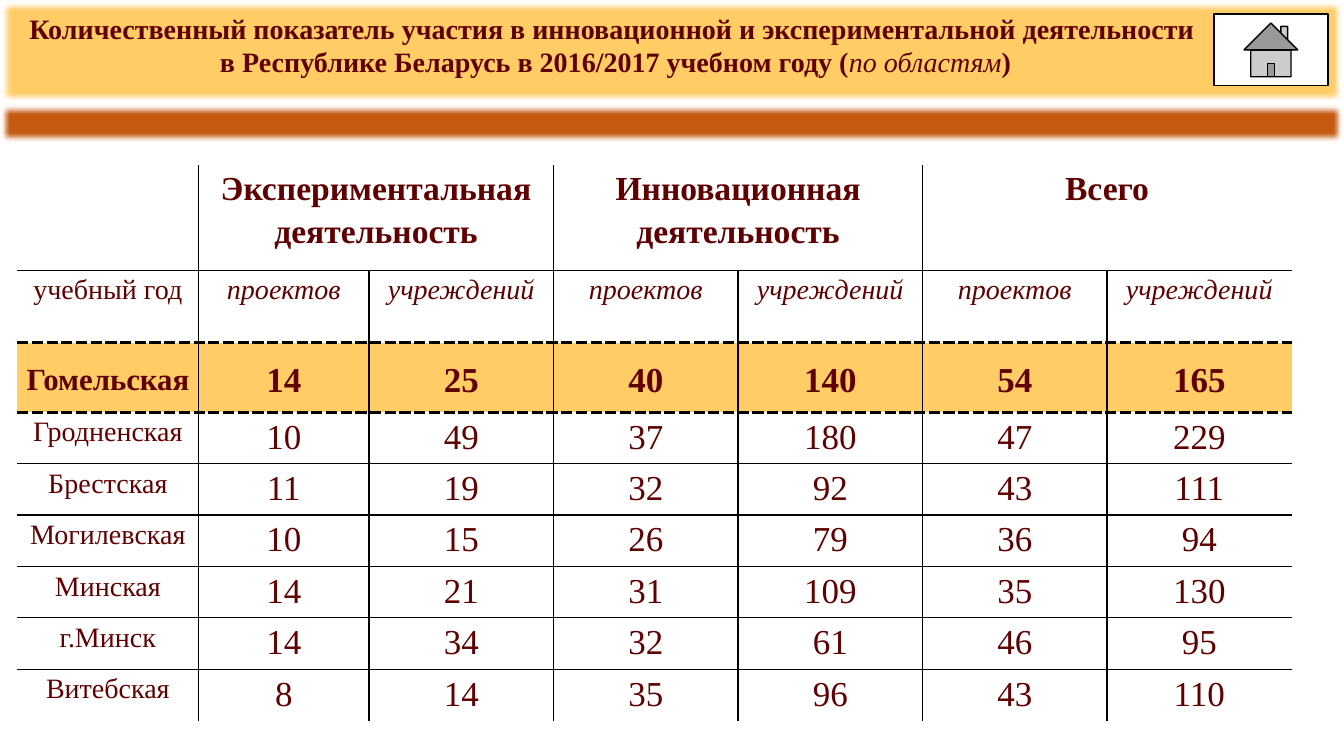
from lxml import etree
from pptx import Presentation
from pptx.dml.color import RGBColor
from pptx.enum.shapes import MSO_SHAPE
from pptx.enum.text import MSO_ANCHOR, MSO_AUTO_SIZE, PP_ALIGN
from pptx.oxml.ns import qn
from pptx.util import Inches, Pt

FONT = "Times New Roman"
MAROON = RGBColor(0x60, 0x00, 0x00)
SAND = RGBColor(0xFF, 0xCC, 0x66)
RUST = RGBColor(0xC5, 0x5A, 0x11)
WHITE = RGBColor(0xFF, 0xFF, 0xFF)
BLACK = RGBColor(0x00, 0x00, 0x00)
RECT, HOME = MSO_SHAPE.RECTANGLE, MSO_SHAPE.ACTION_BUTTON_HOME
CENTER = PP_ALIGN.CENTER
TOP, MIDDLE = MSO_ANCHOR.TOP, MSO_ANCHOR.MIDDLE

COL_WIDTHS = [1.8, 1.69] + [1.83] * 5
ROW_HEIGHTS = [1.04, 0.72, 0.69] + [0.51] * 6
HIGHLIGHT_ROW = 2
ROWS = [
    ["", "Экспериментальная деятельность", "", "Инновационная деятельность", "", "Всего", ""],
    ["учебный год"] + ["проектов", "учреждений"] * 3,
    ["Гомельская", 14, 25, 40, 140, 54, 165],
    ["Гродненская", 10, 49, 37, 180, 47, 229],
    ["Брестская", 11, 19, 32, 92, 43, 111],
    ["Могилевская", 10, 15, 26, 79, 36, 94],
    ["Минская", 14, 21, 31, 109, 35, 130],
    ["г.Минск", 14, 34, 32, 61, 46, 95],
    ["Витебская", 8, 14, 35, 96, 43, 110],
]


def format_paragraph(p, size, bold=False, italic=False):
    p.alignment = CENTER
    p.font.name = FONT
    p.font.size = Pt(size)
    p.font.bold = bold
    p.font.italic = italic
    p.font.color.rgb = MAROON


def add_filled_shape(slide, kind, box, color):
    sp = slide.shapes.add_shape(kind, *map(Inches, box))
    sp.shadow.inherit = False
    sp.fill.solid()
    sp.fill.fore_color.rgb = color
    sp.line.fill.background()
    return sp


def add_soft_band(slide, top, height, color):
    sp = add_filled_shape(slide, RECT, (0, top, 13.33, height), color)
    effects = sp._element.spPr.find(qn("a:effectLst"))
    etree.SubElement(effects, qn("a:softEdge"), rad=str(Inches(0.07)))


def add_title(slide):
    title = slide.shapes.title
    slide.shapes._spTree.append(title._element)  # in front of the bands
    title.left, title.top, title.width, title.height = map(Inches, (0, 0.06, 12.21, 0.77))
    tf = title.text_frame
    tf.auto_size = MSO_AUTO_SIZE.NONE
    tf.word_wrap = True
    tf.vertical_anchor = TOP
    p = tf.paragraphs[0]
    p.text = "Количественный показатель участия в инновационной и экспериментальной деятельности "
    format_paragraph(p, 20, bold=True)
    p = tf.add_paragraph()
    format_paragraph(p, 20, bold=True)
    p.add_run().text = "в Республике Беларусь в 2016/2017 учебном году ("
    r = p.add_run()
    r.text = "по областям"
    r.font.bold = False
    r.font.italic = True
    p.add_run().text = ")"


def set_borders(cell, borders):
    """Draw the left, right, top and bottom edges from (width, dash) pairs or None."""
    tc_pr = cell._tc.get_or_add_tcPr()
    for i, (side, border) in enumerate(zip("LRTB", borders)):
        ln = etree.Element(qn(f"a:ln{side}"))
        if border:
            width, dash = border
            ln.set("w", str(Pt(width)))
            fill = etree.SubElement(ln, qn("a:solidFill"))
            etree.SubElement(fill, qn("a:srgbClr"), val=str(BLACK))
            etree.SubElement(ln, qn("a:prstDash"), val=dash)
        else:
            etree.SubElement(ln, qn("a:noFill"))
        tc_pr.insert(i, ln)


def row_border(edge):
    """Return the horizontal border above row number edge."""
    if edge in (0, len(ROWS)):
        return None
    return (2.25, "sysDash") if edge in (HIGHLIGHT_ROW, HIGHLIGHT_ROW + 1) else (1, "solid")


def column_border(edge):
    return None if edge in (0, len(COL_WIDTHS)) else (1, "solid")


def font_size(row, col):
    if row == 0:
        return 24
    if row == 1:
        return 20
    if col:
        return 25
    return 22 if row == HIGHLIGHT_ROW else 20


def format_cell(cell, row, col):
    highlighted = row == HIGHLIGHT_ROW
    cell.margin_left = cell.margin_right = Inches(0.07)
    cell.margin_top = cell.margin_bottom = 0
    cell.vertical_anchor = MIDDLE if highlighted else TOP
    if highlighted:
        cell.fill.solid()
        cell.fill.fore_color.rgb = SAND
    else:
        cell.fill.background()
    value = ROWS[row][col]
    if value != "":
        p = cell.text_frame.paragraphs[0]
        p.text = str(value)
        p.line_spacing = 1.15
        format_paragraph(p, font_size(row, col), bold=row in (0, HIGHLIGHT_ROW),
                         italic=row == 1 and col > 0)
    set_borders(cell, (column_border(col), column_border(col + cell.span_width),
                       row_border(row), row_border(row + 1)))


def add_region_table(slide):
    frame = slide.shapes.add_table(len(ROWS), len(COL_WIDTHS), Inches(0.17), Inches(1.64),
                                   Inches(sum(COL_WIDTHS)), Inches(sum(ROW_HEIGHTS)))
    table = frame.table
    table.first_row = table.horz_banding = False
    for column, width in zip(table.columns, COL_WIDTHS):
        column.width = Inches(width)
    for row, height in zip(table.rows, ROW_HEIGHTS):
        row.height = Inches(height)
    for col in (1, 3, 5):
        table.cell(0, col).merge(table.cell(0, col + 1))
    for row in range(len(ROWS)):
        for col in range(len(COL_WIDTHS)):
            cell = table.cell(row, col)
            if not cell.is_spanned:
                format_cell(cell, row, col)


def add_home_button(slide):
    sp = add_filled_shape(slide, HOME, (12.04, 0.14, 1.13, 0.71), WHITE)
    sp.line.color.rgb = BLACK
    sp.line.width = Pt(1)


def main():
    prs = Presentation()
    prs.slide_width, prs.slide_height = Inches(13.33), Inches(7.5)
    slide = prs.slides.add_slide(prs.slide_layouts[5])
    add_soft_band(slide, 1.03, 0.39, RUST)
    add_soft_band(slide, 0, 1.03, SAND)
    add_title(slide)
    add_region_table(slide)
    add_home_button(slide)
    prs.save("out.pptx")


if __name__ == "__main__":
    main()
